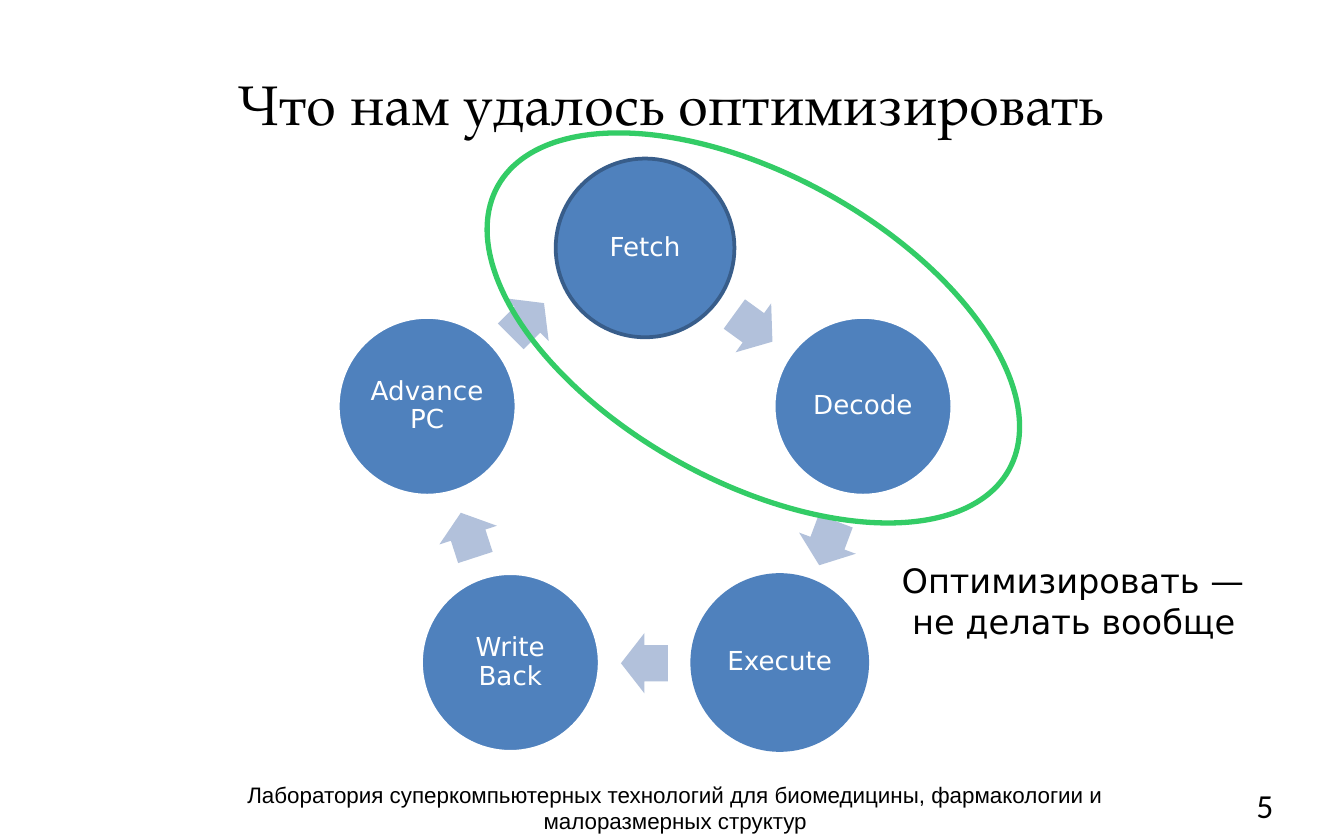
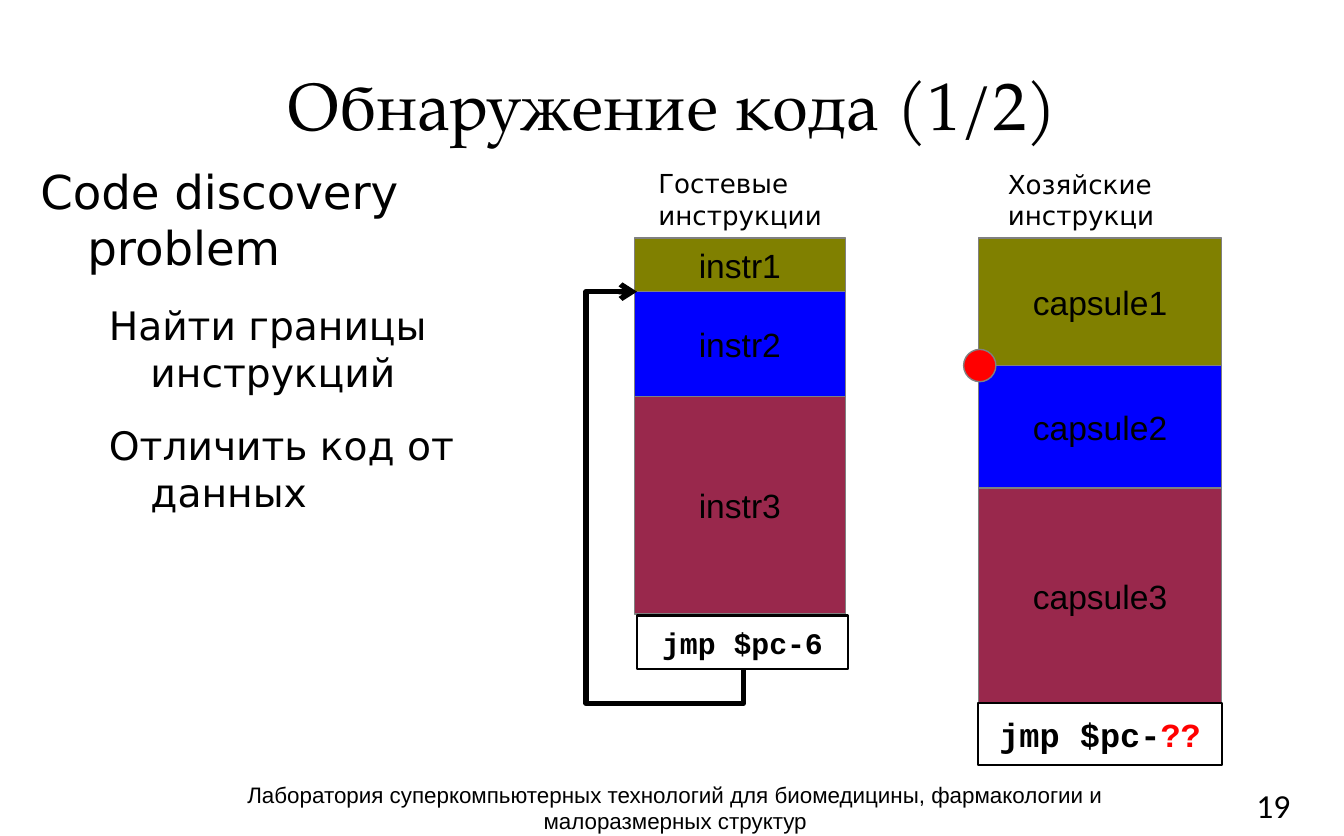
import math
import pptx
import pptx.dml.color
import pptx.enum.shapes
import pptx.enum.text
import pptx.oxml.ns
import pptx.util
from lxml import etree

Inches = pptx.util.Inches
Pt = pptx.util.Pt
qn = pptx.oxml.ns.qn
SHAPE = pptx.enum.shapes.MSO_SHAPE
ELBOW = pptx.enum.shapes.MSO_CONNECTOR.ELBOW
ALIGN = pptx.enum.text.PP_ALIGN
ANCHOR = pptx.enum.text.MSO_ANCHOR

BLACK, WHITE, RED, GRAY = "000000", "FFFFFF", "FF0000", "808080"
DISC, RIM, ARROW, GREEN = "4F81BD", "385D8A", "B2C1DB", "33CC66"
BANDS = ("808000", "0000FF", "99284C")
SERIF, SANS, WIDE, MONO, PLAIN = (
    "TeX Gyre Pagella", "Arial", "DejaVu Sans", "Courier New", "Calibri")
FOOT = ("Лаборатория суперкомпьютерных технологий для биомедицины, "
        "фармакологии и малоразмерных структур")


def tint(hue):
    """Turn a hex string into a colour."""
    return pptx.dml.color.RGBColor.from_string(hue)


def write(para, text, size, font, hue=BLACK, bold=False):
    """Add one run to a paragraph."""
    run = para.add_run()
    run.text = text
    run.font.size = Pt(size)
    run.font.name = font
    run.font.bold = bold
    run.font.color.rgb = tint(hue)


def label(slide, box, lines, size, font, align=ALIGN.LEFT,
          anchor=ANCHOR.TOP, wrap=True):
    """Add a text box with one paragraph per line."""
    area = slide.shapes.add_textbox(*map(Inches, box))
    frame = area.text_frame
    frame.word_wrap = wrap
    frame.vertical_anchor = anchor
    for i, line in enumerate(lines):
        para = frame.add_paragraph() if i else frame.paragraphs[0]
        para.alignment = align
        write(para, line, size, font)
    return area


def draw(slide, kind, box, fill=None, line=None, width=0, turn=0):
    """Add a flat preset shape with centred text."""
    shape = slide.shapes.add_shape(kind, *map(Inches, box))
    shape.shadow.inherit = False
    shape.rotation = turn
    if fill:
        shape.fill.solid()
        shape.fill.fore_color.rgb = tint(fill)
    else:
        shape.fill.background()
    if line:
        shape.line.color.rgb = tint(line)
        shape.line.width = Pt(width)
    else:
        shape.line.fill.background()
    shape.text_frame.word_wrap = True
    shape.text_frame.vertical_anchor = ANCHOR.MIDDLE
    shape.text_frame.paragraphs[0].alignment = ALIGN.CENTER
    return shape


def start(deck, title, size, page):
    """Add a slide with its title, footer and page number."""
    slide = deck.slides.add_slide(deck.slide_layouts[6])
    label(slide, (0.5, 0.25, 9, 1.04), [title], size, SERIF,
          ALIGN.CENTER, ANCHOR.MIDDLE)
    label(slide, (1.14, 5.76, 7.77, 0.33), [FOOT], 12, SANS, ALIGN.CENTER)
    label(slide, (9.25, 5.79, 0.56, 0.33), [page], 18, PLAIN)
    return slide


def cycle(slide, box, steps, turns):
    """Place discs evenly on a ring with an arrow after each."""
    left, top, size, disc = box
    ring = (size - disc) / 2
    mid_x, mid_y = left + size / 2, top + size / 2
    step = 2 * math.pi / len(steps)
    for i, (name, rim) in enumerate(steps):
        x = mid_x + ring * math.sin(i * step)
        y = mid_y - ring * math.cos(i * step)
        shape = draw(slide, SHAPE.OVAL,
                     (x - disc / 2, y - disc / 2, disc, disc), DISC, rim, 2)
        frame = shape.text_frame
        frame.margin_left = frame.margin_right = Inches(0.04)
        frame.margin_top = frame.margin_bottom = Inches(0.04)
        para = frame.paragraphs[0]
        para.line_spacing = 0.9
        para.space_after = Pt(6)
        write(para, name, 14, WIDE, WHITE)
        reach = ring * math.cos(step / 2)
        turn, dx, dy = turns[i]
        x = mid_x + reach * math.sin((i + 0.5) * step) + dx
        y = mid_y - reach * math.cos((i + 0.5) * step) + dy
        arrow = draw(slide, SHAPE.RIGHT_ARROW,
                     (x - 0.18, y - 0.22, 0.35, 0.45), ARROW, turn=turn)
        arrow.adjustments[0] = 0.6
        arrow.adjustments[1] = 0.5


def outline(slide, box, items):
    """Add a list of hanging paragraphs by level."""
    left, top, wide, high = box
    area = label(slide, (left, top, wide, high), [], 25, WIDE)
    area.fill.solid()
    area.fill.fore_color.rgb = tint(WHITE)
    frame = area.text_frame
    frame.margin_left = frame.margin_right = 0
    frame.margin_top = frame.margin_bottom = 0
    for i, (text, size, indent, hang) in enumerate(items):
        para = frame.add_paragraph() if i else frame.paragraphs[0]
        para.space_after = Pt(14.2)
        props = para._p.get_or_add_pPr()
        props.set("marL", str(Inches(indent)))
        props.set("indent", str(-Inches(hang)))
        write(para, text, size, WIDE)


def stack(slide, box, head, names, highs, jump):
    """Place a caption, coloured blocks and a jump box in a column."""
    left, top, wide = box
    (dx, span, tall), caption = head
    label(slide, (left + dx, top - 0.57, span, tall), [caption], 14, WIDE)
    y = top
    for name, high, hue in zip(names, highs, BANDS):
        block = draw(slide, SHAPE.RECTANGLE, (left, y, wide, high), hue, GRAY)
        write(block.text_frame.paragraphs[0], name, 18, SANS)
        y += high
    shift, drop, high, size, parts = jump
    cell = draw(slide, SHAPE.RECTANGLE,
                (left + shift, y + drop, wide, high), WHITE, BLACK, 1.13)
    for text, hue in parts:
        write(cell.text_frame.paragraphs[0], text, size, MONO, hue, True)


def loop(slide, box, bends):
    """Draw a bent arrow that runs back from the jump to its target."""
    left, top, wide, high = box
    link = slide.shapes.add_connector(
        ELBOW, Inches(left + wide), Inches(top),
        Inches(left), Inches(top + high))
    link.line.color.rgb = tint(BLACK)
    link.line.width = Pt(2.83)
    props = link._element.spPr
    props.find(qn("a:xfrm")).set("rot", "5400000")
    shape = props.find(qn("a:prstGeom"))
    shape.set("prst", "bentConnector5")
    guides = shape.find(qn("a:avLst"))
    for i, bend in enumerate(bends, 1):
        etree.SubElement(guides, qn("a:gd"), name=f"adj{i}",
                         fmla=f"val {round(bend * 100000)}")
    etree.SubElement(props.find(qn("a:ln")), qn("a:tailEnd"), type="arrow")
    etree.SubElement(props, qn("a:effectLst"))


def tune(deck):
    """Build the slide on the optimised steps."""
    slide = start(deck, "Что нам удалось оптимизировать", 30, "5")
    steps = [("Fetch", RIM), ("Decode", WHITE), ("Execute", None),
             ("Write Back", WHITE), ("Advance PC", WHITE)]
    turns = [(36, 0, 0), (110.5, 0.05, 0.06), (180, 0, 0),
             (252, 0, 0), (315, -0.06, -0.06)]
    cycle(slide, (2.43, 1.18, 4.74, 1.33), steps, turns)
    draw(slide, SHAPE.OVAL, (3.43, 1.3, 4.35, 2.28), None, GREEN, 2.83, 29)
    label(slide, (6.61, 4.12, 2.75, 0.68),
          ["Оптимизировать —", " не делать вообще"], 18, WIDE, wrap=False)


def find(deck):
    """Build the slide on code discovery."""
    slide = start(deck, "Обнаружение кода (1/2)", 36, "19")
    outline(slide, (0.18, 1.21, 4.07, 2.89), [
        ("Code discovery problem", 25, 0.47, 0.35),
        ("Найти границы инструкций", 21, 0.94, 0.31),
        ("Отличить код от данных", 21, 0.94, 0.31)])
    stack(slide, (4.72, 1.77, 1.57),
          ((0.08, 1.46, 0.56), "Гостевые инструкции"),
          ("instr1", "instr2", "instr3"), (0.4, 0.78, 1.62),
          (0.02, 0.01, 0.4, 16, [("jmp $pc-6", BLACK)]))
    stack(slide, (7.28, 1.77, 1.81),
          ((0.12, 1.32, 0.78), "Хозяйские инструкции"),
          ("capsule1", "capsule2", "capsule3"), (0.95, 0.91, 1.61),
          (0, -0.01, 0.46, 18, [("jmp $pc-", BLACK), ("??", RED)]))
    loop(slide, (3.73, 3.18, 2.81, 0.79), (-0.09, 1.48, 1))
    draw(slide, SHAPE.OVAL, (7.17, 2.6, 0.24, 0.24), RED, GRAY)


def main():
    """Build and save the deck."""
    deck = pptx.Presentation()
    deck.slide_width = Inches(10)
    deck.slide_height = Inches(6.22)
    tune(deck)
    find(deck)
    deck.save("out.pptx")


if __name__ == "__main__":
    main()
